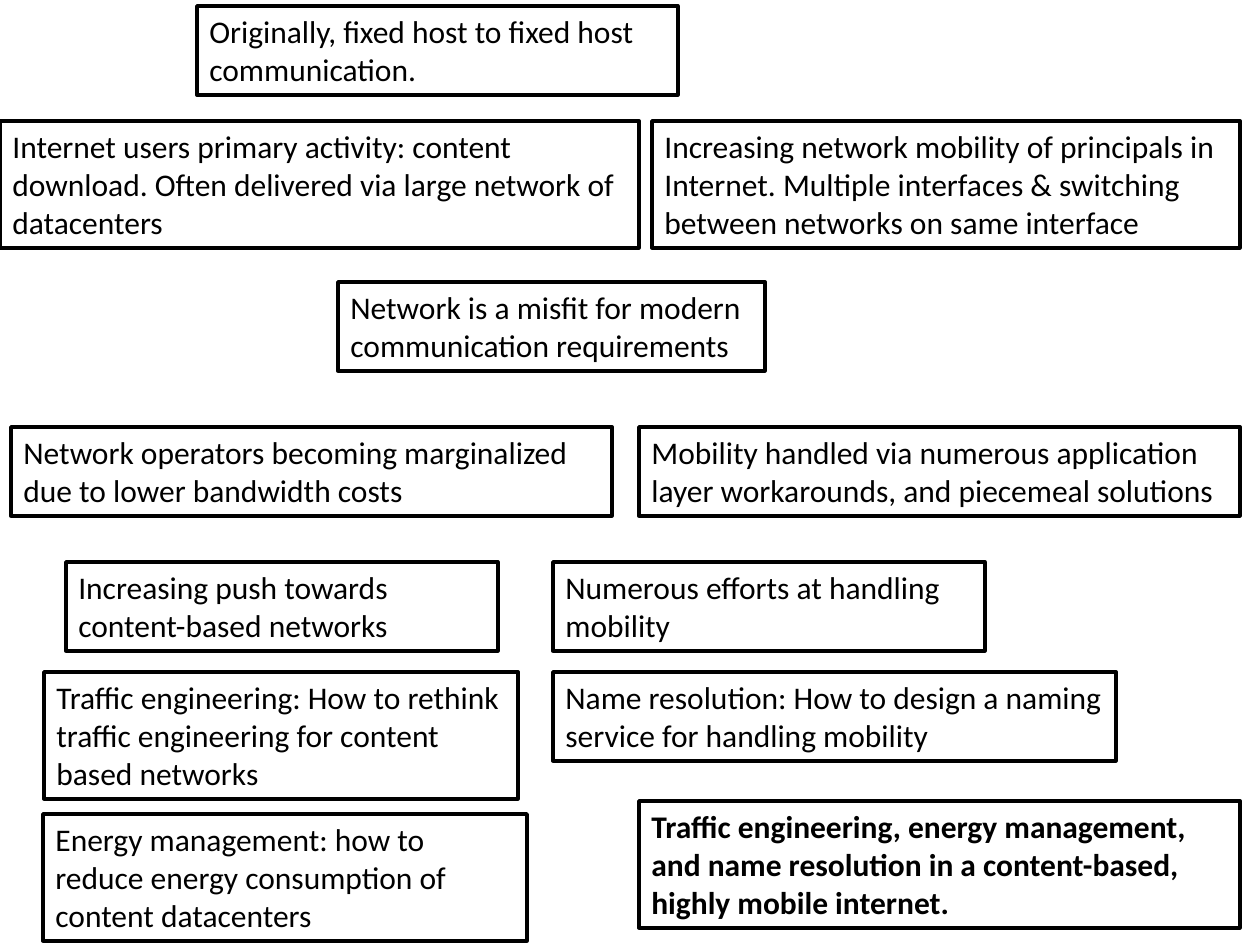
from pptx import Presentation
from pptx.dml.color import RGBColor
from pptx.enum.shapes import MSO_SHAPE
from pptx.enum.text import MSO_ANCHOR, MSO_AUTO_SIZE, PP_ALIGN
from pptx.util import Inches, Pt

SCALE = Inches(1) // 126
LINE_HEIGHTS = {2: 89, 3: 127}


def color(value):
    return RGBColor.from_string(value)


presentation = Presentation()
presentation.slide_width = Inches(10)
presentation.slide_height = Inches(7.5)
slide = presentation.slides.add_slide(presentation.slide_layouts[6])

statements = [
    (0, 121, 639, 3, "Internet users primary activity: content download. Often delivered via large network of datacenters", False),
    (652, 121, 588, 3, "Increasing network mobility of principals in Internet. Multiple interfaces & switching between networks on same interface", False),
    (639, 801, 601, 3, "Traffic engineering, energy management, and name resolution in a content-based, highly mobile internet.", True),
    (338, 282, 427, 2, "Network is a misfit for modern communication requirements", False),
    (43, 814, 484, 3, "Energy management: how to reduce energy consumption of content datacenters", False),
    (44, 672, 474, 3, "Traffic engineering: How to rethink traffic engineering for content based networks", False),
    (11, 427, 601, 2, "Network operators becoming marginalized due to lower bandwidth costs", False),
    (197, 6, 481, 2, "Originally, fixed host to fixed host communication.", False),
    (639, 427, 601, 2, "Mobility handled via numerous application layer workarounds, and piecemeal solutions", False),
    (66, 562, 432, 2, "Increasing push towards content-based networks", False),
    (553, 562, 432, 2, "Numerous efforts at handling mobility", False),
    (553, 672, 563, 2, "Name resolution: How to design a naming service for handling mobility", False),
]

for left, top, width, lines, text, bold in statements:
    bounds = [length * SCALE for length in (left, top, width, LINE_HEIGHTS[lines])]
    shape = slide.shapes.add_shape(MSO_SHAPE.RECTANGLE, *bounds)
    shape.shadow.inherit = False
    shape.fill.solid()
    shape.fill.fore_color.rgb = color("FFFFFF")
    shape.line.color.rgb = color("000000")
    shape.line.width = Pt(2)
    text_frame = shape.text_frame
    text_frame.text = text
    text_frame.word_wrap = True
    text_frame.auto_size = MSO_AUTO_SIZE.SHAPE_TO_FIT_TEXT
    text_frame.vertical_anchor = MSO_ANCHOR.TOP
    paragraph = text_frame.paragraphs[0]
    paragraph.alignment = PP_ALIGN.LEFT
    font = paragraph.runs[0].font
    font.name = "Calibri"
    font.size = Pt(18)
    font.bold = bold
    font.color.rgb = color("000000")

presentation.save("out.pptx")
